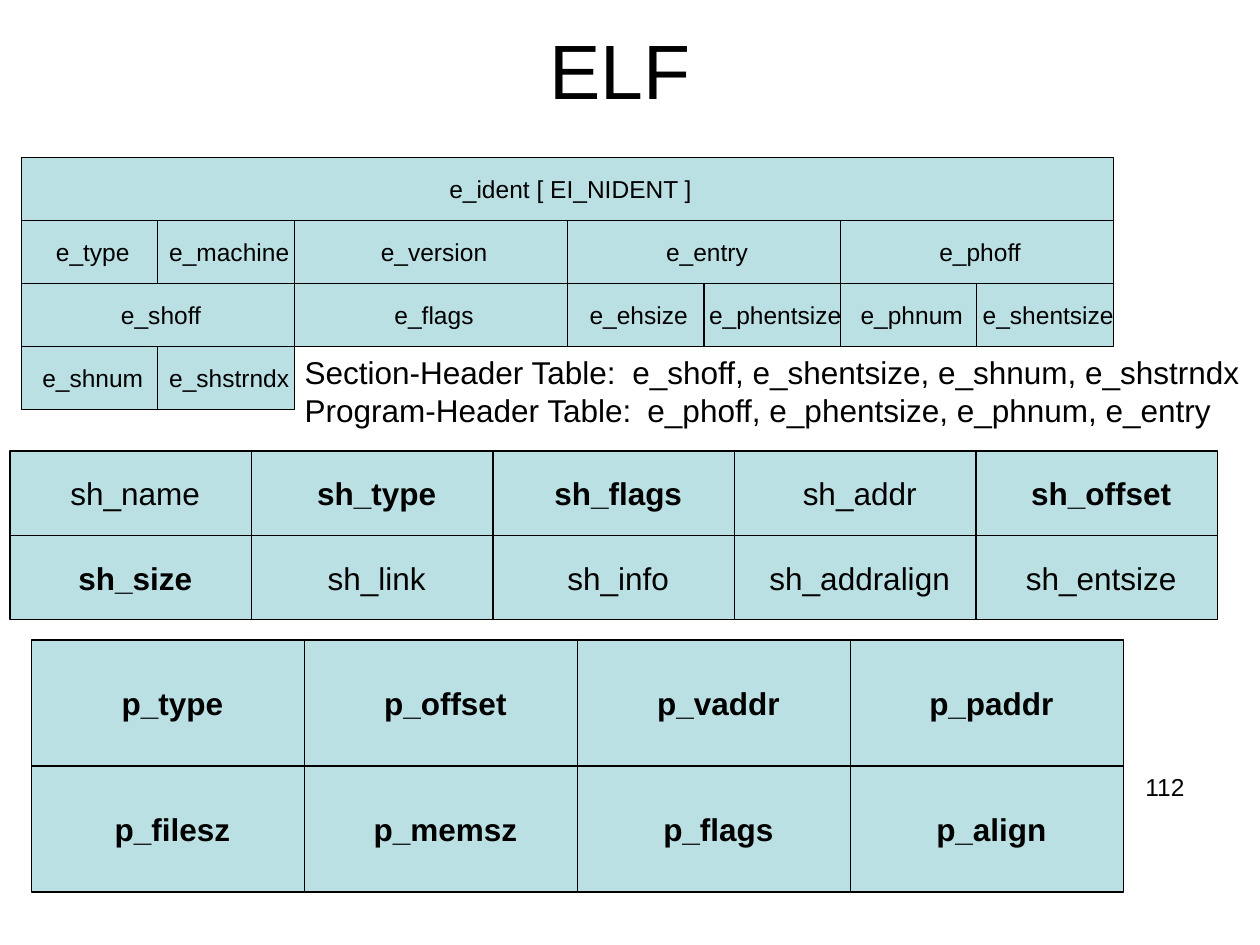
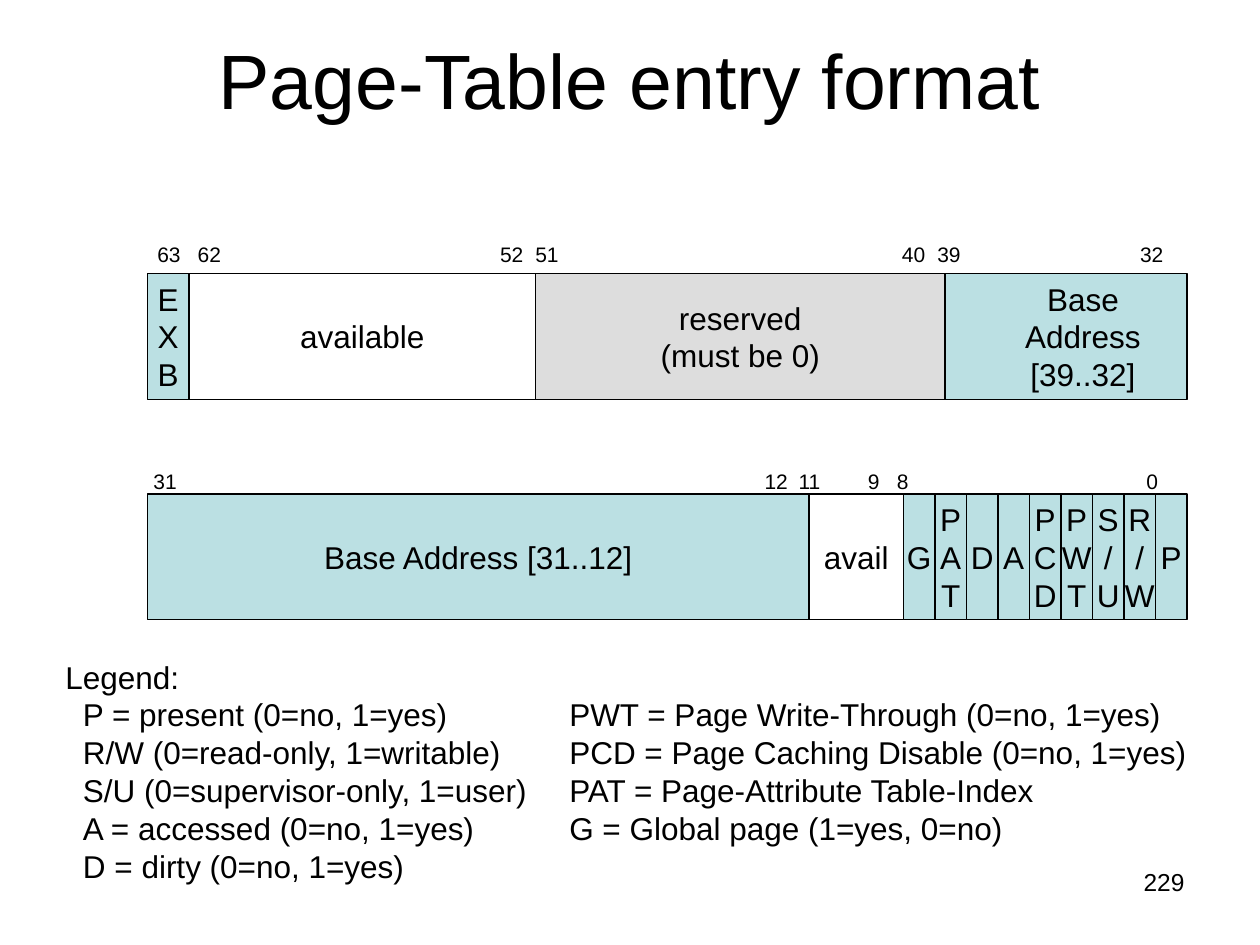
from itertools import cycle

from lxml.etree import SubElement
from pptx import Presentation
from pptx.dml.color import RGBColor
from pptx.enum.shapes import MSO_SHAPE as Shape
from pptx.enum.text import MSO_ANCHOR as Anchor, PP_ALIGN as Align
from pptx.oxml.ns import qn
from pptx.util import Inches, Pt

FONT = "Arial"
INK, TEAL, GRAY, WHITE = "000000", "BBE0E3", "DDDDDD", "FFFFFF"


def color(hex_code):
    """Turn a hex string into a colour."""
    return RGBColor.from_string(hex_code)


def write(frame, text, size=18, bold=False, align=Align.LEFT,
          anchor=Anchor.TOP, wrap=True, left=0.1, right=0.1, tabs=((),)):
    """Fill a frame line by line; each line takes the next list of tab stops."""
    frame.word_wrap = wrap
    frame.vertical_anchor = anchor
    frame.margin_left, frame.margin_right = Inches(left), Inches(right)
    for number, (line, stops) in enumerate(zip(text.split("\n"), cycle(tabs))):
        paragraph = frame.paragraphs[0] if number == 0 else frame.add_paragraph()
        paragraph.alignment = align
        if stops:
            tab_list = SubElement(paragraph._p.get_or_add_pPr(), qn("a:tabLst"))
            for stop in stops:
                SubElement(tab_list, qn("a:tab"), pos=str(Inches(stop)), algn="l")
        run = paragraph.add_run()
        run.text = line
        run.font.name, run.font.size, run.font.bold = FONT, Pt(size), bold
        run.font.color.rgb = color(INK)


class Deck:
    """Holds the presentation, its style and the current slide."""

    def __init__(self):
        """Start an empty 10 by 7.5 inch presentation."""
        self.show = Presentation()
        self.show.slide_width, self.show.slide_height = Inches(10), Inches(7.5)
        self.slide = None

    def new_slide(self, title, title_left, title_top):
        """Add a blank slide with its title."""
        self.slide = self.show.slides.add_slide(self.show.slide_layouts[6])
        self.text(title, title_left, title_top, 9, 1.25, size=44,
                  align=Align.CENTER, anchor=Anchor.MIDDLE)

    def text(self, text, left, top, width, height, **style):
        """Add a text box."""
        box = self.slide.shapes.add_textbox(
            Inches(left), Inches(top), Inches(width), Inches(height))
        write(box.text_frame, text, **style)

    def page_number(self, number, top):
        """Add the page number at the right."""
        self.text(number, 7.17, top, 2.33, 0.52, size=14, align=Align.RIGHT)

    def field(self, label, left, top, width, height, fill=TEAL, lead=0, **style):
        """Add one outlined field, its label pushed right by half the lead."""
        cell = self.slide.shapes.add_shape(
            Shape.RECTANGLE, Inches(left), Inches(top), Inches(width), Inches(height))
        cell.shadow.inherit = False
        cell.fill.solid()
        cell.fill.fore_color.rgb = color(fill)
        cell.line.color.rgb = color(INK)
        cell.line.width = Pt(0.75)
        write(cell.text_frame, label, align=Align.CENTER, anchor=Anchor.MIDDLE,
              wrap=False, left=lead, right=0, **style)

    def row(self, fields, left, top, height, unit=1, **style):
        """Set (label, width in units, options) fields side by side."""
        for label, span, options in fields:
            self.field(label, left, top, span * unit, height, **{**style, **options})
            left += span * unit


def elf_slide(deck):
    """Build the three ELF header layouts."""
    deck.new_slide("ELF", 0.42, -0.08)
    elf_header = [
        [("e_ident [ EI_NIDENT ]", 8)],
        [("e_type", 1), ("e_machine", 1), ("e_version", 2), ("e_entry", 2),
         ("e_phoff", 2)],
        [("e_shoff", 2), ("e_flags", 2), ("e_ehsize", 1), ("e_phentsize", 1),
         ("e_phnum", 1), ("e_shentsize", 1)],
        [("e_shnum", 1), ("e_shstrndx", 1)],
    ]
    for index, fields in enumerate(elf_header):
        deck.row([(label, span, {}) for label, span in fields],
                 0.17, 1.25 + index * 0.5, 0.5, unit=13 / 12, size=14, lead=0.05)
    deck.text("Section-Header Table:\te_shoff, e_shentsize, e_shnum, e_shstrndx\n"
              "Program-Header Table:\te_phoff, e_phentsize, e_phnum, e_entry",
              2.32, 2.75, 7.68, 0.71, right=0, tabs=((2.6,), (2.72,)))
    deck.page_number("112", 6.08)

    bold_fields = {"sh_type", "sh_flags", "sh_offset", "sh_size"}
    section_header = ["sh_name sh_type sh_flags sh_addr sh_offset",
                      "sh_size sh_link sh_info sh_addralign sh_entsize"]
    program_header = ["p_type p_offset p_vaddr p_paddr",
                      "p_filesz p_memsz p_flags p_align"]
    for header, left, top, width, height in (
            (section_header, 0.08, 3.58, 23 / 12, 0.67),
            (program_header, 0.25, 5.08, 13 / 6, 1)):
        for index, names in enumerate(header):
            deck.row([(name, width,
                       {"bold": name in bold_fields or name.startswith("p_")})
                      for name in names.split()],
                     left, top + index * height, height, lead=0.07)


def page_table_slide(deck):
    """Build the 64-bit page-table entry and its legend."""
    deck.new_slide("Page-Table entry format", 0.5, 0)
    deck.text("63\t62\t52\t51\t40\t39\t32", 1.15, 1.87, 8.29, 0.3, size=12,
              tabs=((0.32, 2.72, 3, 5.91, 6.19, 7.8),))
    deck.row([("E\nX\nB", 0.33, {}),
              ("available", 2.75, {"fill": WHITE}),
              ("reserved\n(must be 0)", 3.25, {"fill": GRAY}),
              ("Base\nAddress\n[39..32]", 1.92, {"lead": 0.27})],
             1.17, 2.17, 1)

    deck.text("31\t12\t11\t9\t8\t0", 1.12, 3.67, 8.3, 0.3, size=12,
              tabs=((4.85, 5.12, 5.67, 5.9, 7.88),))
    flags = ["G", "PAT", "D", "A", "PCD", "PWT", "S/U", "R/W", "P"]
    deck.row([("Base Address [31..12]", 5.25, {}), ("avail", 0.75, {"fill": WHITE})]
             + [("\n".join(flag), 0.25, {}) for flag in flags],
             1.17, 3.92, 1)

    deck.text("Legend:\n"
              "\tP = present (0=no, 1=yes)\tPWT = Page Write-Through (0=no, 1=yes)\n"
              "\tR/W (0=read-only, 1=writable)\tPCD = Page Caching Disable (0=no, 1=yes)\n"
              "\tS/U (0=supervisor-only, 1=user)\tPAT = Page-Attribute Table-Index\n"
              "\tA = accessed (0=no, 1=yes)\tG = Global page (1=yes, 0=no)\n"
              "\tD = dirty (0=no, 1=yes)",
              0.42, 5.17, 9.1, 1.9, right=0, tabs=((0.14, 4),))
    deck.page_number("229", 6.83)


def main():
    """Build both slides and save them."""
    deck = Deck()
    elf_slide(deck)
    page_table_slide(deck)
    deck.show.save("out.pptx")


if __name__ == "__main__":
    main()
